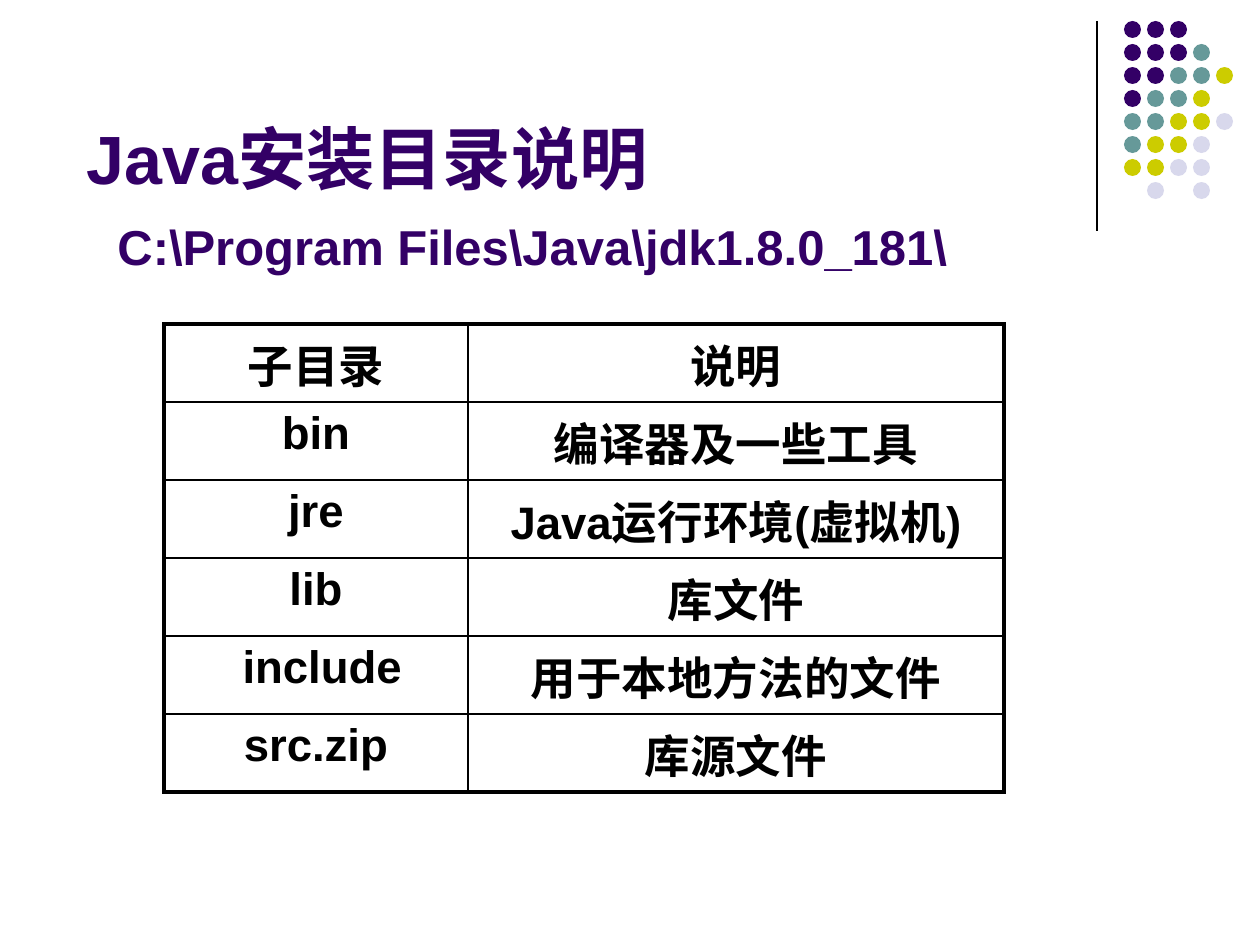
from typing import NamedTuple

from lxml import etree
from pptx import Presentation
from pptx.dml.color import RGBColor
from pptx.enum.shapes import MSO_CONNECTOR, MSO_SHAPE
from pptx.enum.text import MSO_ANCHOR, PP_ALIGN
from pptx.oxml.ns import qn
from pptx.util import Emu, Pt

LINE, OVAL = MSO_CONNECTOR.STRAIGHT, MSO_SHAPE.OVAL
BOTTOM, CENTER = MSO_ANCHOR.BOTTOM, PP_ALIGN.CENTER

PURPLE = RGBColor(0x33, 0x00, 0x66)
TEAL = RGBColor(0x66, 0x99, 0x99)
OLIVE = RGBColor(0xCC, 0xCC, 0x00)
LAVENDER = RGBColor(0xD8, 0xD8, 0xEC)
BLACK = RGBColor(0x00, 0x00, 0x00)

FONT = "Arial"
EMU_PER_PX = 914400 / 126

DOT_LEFT, DOT_TOP, DOT_SIZE, DOT_STEP = 1124, 21, 17, 23
DOT_COLORS = {"P": PURPLE, "T": TEAL, "O": OLIVE, "L": LAVENDER}
DOT_ROWS = ["PPP", "PPPT", "PPTTO", "PTTO", "TTOOL", "TOOL", "OOLL", " L L"]

TABLE_LEFT, TABLE_TOP, ROW_HEIGHT = 164, 324, 78
COLUMN_WIDTHS = [304, 536]
OUTER, INNER = 2.25, 1


class TitleLine(NamedTuple):
    text: str
    size: int
    indent: int


class Directory(NamedTuple):
    name: str
    description: str


TITLE = [
    TitleLine("Java安装目录说明", 39, 0),
    TitleLine("C:\\Program Files\\Java\\jdk1.8.0_181\\", 28, 31),
]

DIRECTORIES = [
    Directory("子目录", "说明"),
    Directory("bin", "编译器及一些工具"),
    Directory("jre", "Java运行环境(虚拟机)"),
    Directory("lib", "库文件"),
    Directory(" include", "用于本地方法的文件"),
    Directory("src.zip", "库源文件"),
]


def px(n: int) -> Emu:
    return Emu(round(n * EMU_PER_PX))


def set_font(p, size: int, color: RGBColor) -> None:
    p.font.name, p.font.size, p.font.bold = FONT, Pt(size), True
    p.font.color.rgb = color


def add_divider(slide) -> None:
    line = slide.shapes.add_connector(LINE, px(1097), px(21), px(1097), px(231))
    line.line.color.rgb = BLACK
    line.line.width = Pt(0.75)
    etree.SubElement(line._element.spPr, qn("a:effectLst"))


def add_dots(slide) -> None:
    for r, row in enumerate(DOT_ROWS):
        for c, key in enumerate(row):
            if key == " ":
                continue
            dot = slide.shapes.add_shape(
                OVAL, px(DOT_LEFT + c * DOT_STEP), px(DOT_TOP + r * DOT_STEP),
                px(DOT_SIZE), px(DOT_SIZE))
            dot.shadow.inherit = False
            dot.fill.solid()
            dot.fill.fore_color.rgb = DOT_COLORS[key]
            dot.line.fill.background()


def add_title(slide) -> None:
    tf = slide.shapes.add_textbox(px(74), px(106), px(1040), px(179)).text_frame
    tf.word_wrap = True
    tf.vertical_anchor = BOTTOM
    tf.margin_bottom = px(10)
    for i, line in enumerate(TITLE):
        p = tf.add_paragraph() if i else tf.paragraphs[0]
        p.text = line.text
        p._p.get_or_add_pPr().set("marL", str(px(line.indent)))
        if i:
            p.space_before = Pt(10)
        set_font(p, line.size, PURPLE)


def set_borders(cell, widths: dict[str, float]) -> None:
    """Widths are in points, keyed by side in the order L, R, T, B."""
    tc_pr = cell._tc.get_or_add_tcPr()
    for i, (side, width) in enumerate(widths.items()):
        ln = etree.Element(qn(f"a:ln{side}"), w=str(Pt(width)))
        fill = etree.SubElement(ln, qn("a:solidFill"))
        etree.SubElement(fill, qn("a:srgbClr"), val=str(BLACK))
        tc_pr.insert(i, ln)


def add_directory_table(slide) -> None:
    n_rows, n_cols = len(DIRECTORIES), len(COLUMN_WIDTHS)
    table = slide.shapes.add_table(
        n_rows, n_cols, px(TABLE_LEFT), px(TABLE_TOP),
        px(sum(COLUMN_WIDTHS)), px(n_rows * ROW_HEIGHT)).table
    table.first_row = table.horz_banding = False
    for column, width in zip(table.columns, COLUMN_WIDTHS):
        column.width = px(width)
    for r, directory in enumerate(DIRECTORIES):
        for c, text in enumerate(directory):
            cell = table.cell(r, c)
            cell.fill.background()
            p = cell.text_frame.paragraphs[0]
            p.text = text
            p.alignment = CENTER
            set_font(p, 26, BLACK)
            set_borders(cell, {
                "L": OUTER if c == 0 else INNER,
                "R": OUTER if c == n_cols - 1 else INNER,
                "T": OUTER if r == 0 else INNER,
                "B": OUTER if r == n_rows - 1 else INNER,
            })


def main() -> None:
    prs = Presentation()
    prs.slide_width, prs.slide_height = px(1260), px(945)
    slide = prs.slides.add_slide(prs.slide_layouts[6])
    add_divider(slide)
    add_dots(slide)
    add_title(slide)
    add_directory_table(slide)
    prs.save("out.pptx")


if __name__ == "__main__":
    main()
